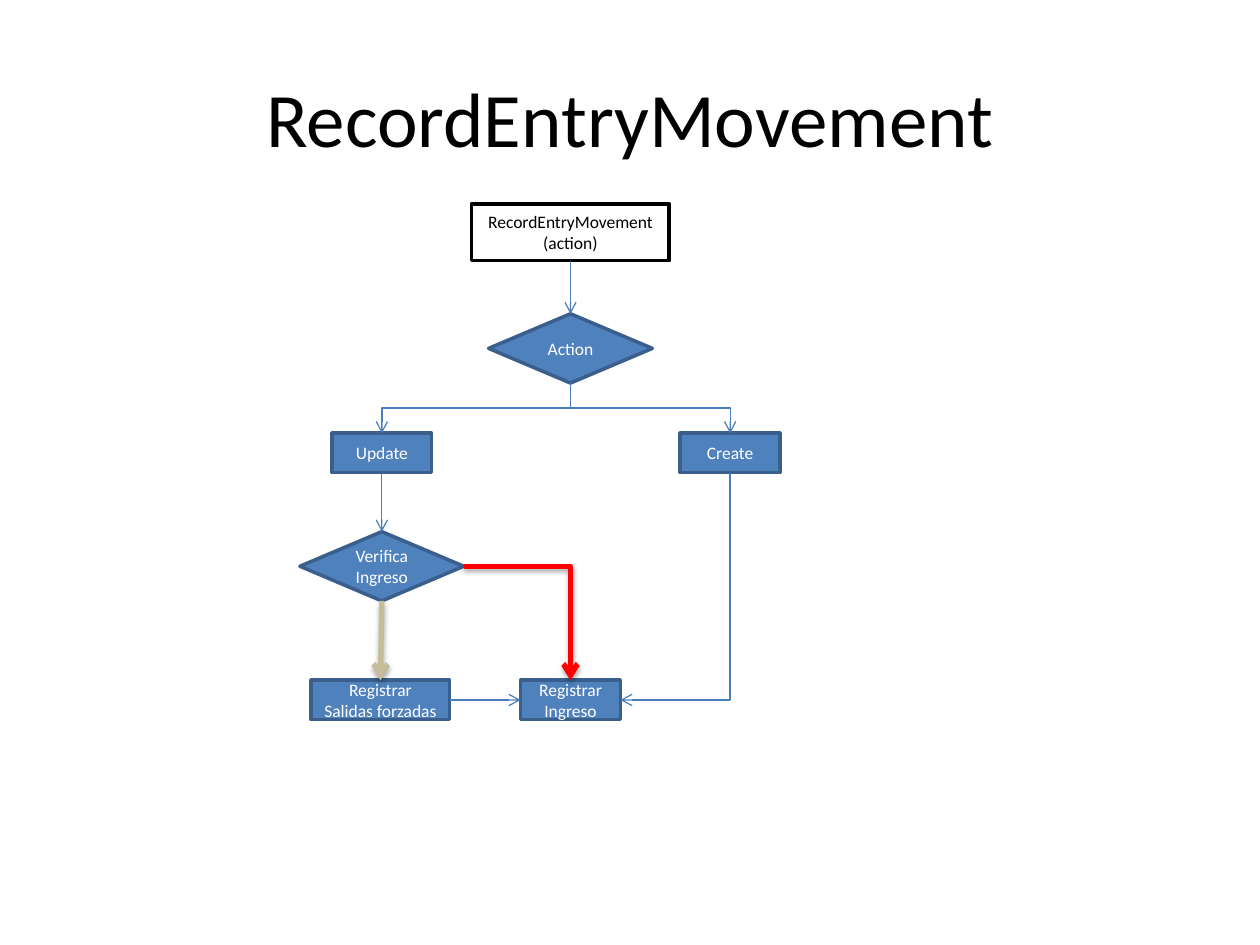
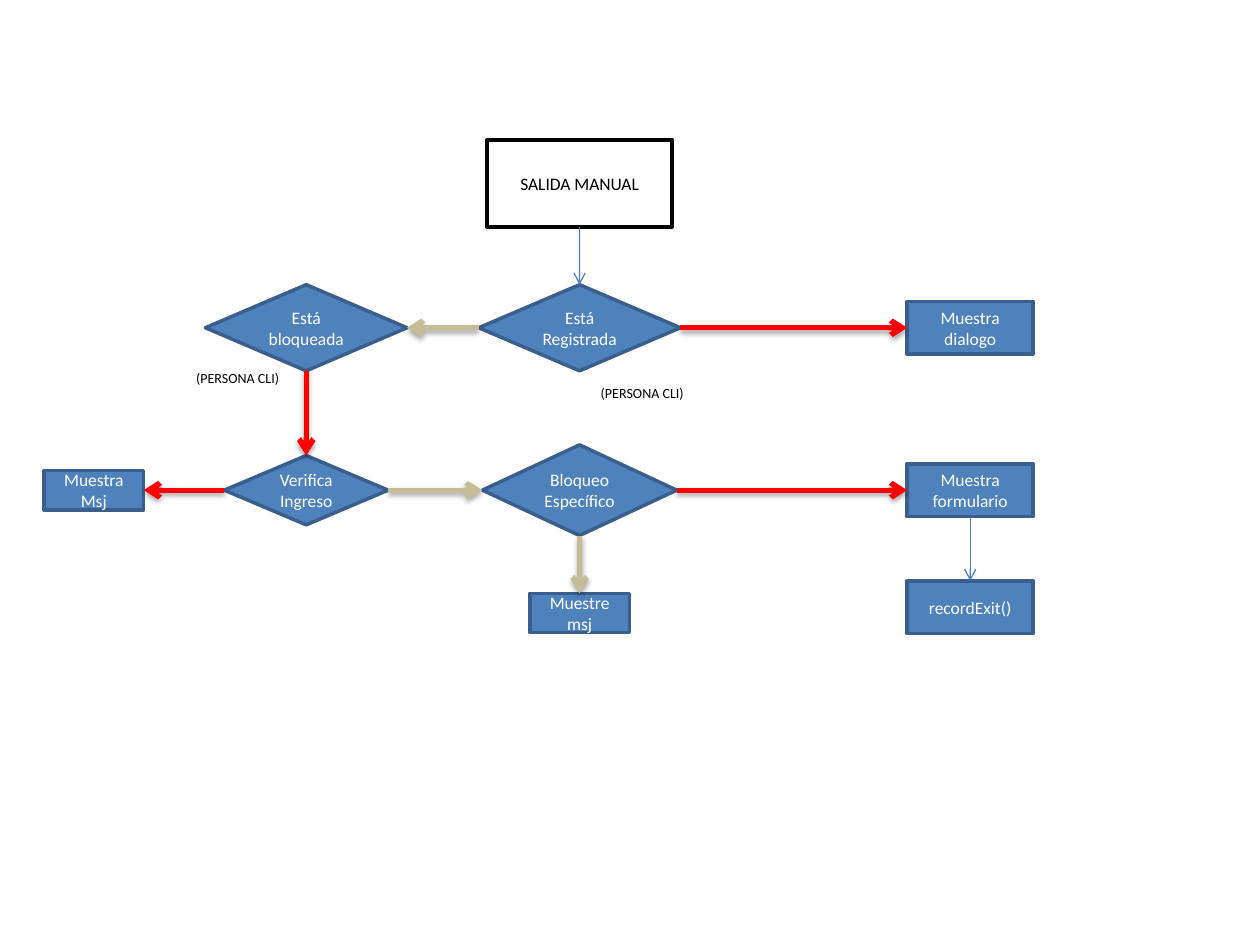
"""Build two slides of flow charts for recording entries and exits."""
from dataclasses import dataclass

from lxml.etree import SubElement as Sub
from pptx import Presentation
from pptx.dml.color import RGBColor as RGB
from pptx.enum.shapes import MSO_CONNECTOR as Con, MSO_SHAPE as Form
from pptx.enum.text import MSO_ANCHOR as Anchor, PP_ALIGN as Align
from pptx.oxml.ns import qn
from pptx.util import Pt

TOP, LEFT, BASE, RIGHT = range(4)
RECT, TEST = Form.RECTANGLE, Form.FLOWCHART_DECISION


@dataclass(frozen=True)
class Theme:
    """Hold the colours, the font and the sizes."""
    font: str = "Calibri"
    black: RGB = RGB(0, 0, 0)
    white: RGB = RGB(255, 255, 255)
    blue: RGB = RGB.from_string("4F81BD")
    edge: RGB = RGB.from_string("3A5F8C")
    flow: RGB = RGB.from_string("4B7EBC")
    red: RGB = RGB.from_string("FF0000")
    tan: RGB = RGB.from_string("C4BD97")
    head: float = 44
    body: float = 10
    note: float = 8
    rim: float = 2
    thin: float = 0.75
    thick: float = 3


T = Theme()
SMALL, MID, WIDE = (57, 22.5), (72, 30.2), (79.2, 22.5)
GEM, BIG = (93.6, 39.6), (115.2, 49.2)


def write(frame, text, size, color, align=Align.CENTER):
    """Put one run of text in a frame."""
    line = frame.paragraphs[0]
    line.alignment = align
    run = line.add_run()
    run.text = text
    run.font.name, run.font.size = T.font, Pt(size)
    run.font.color.rgb = color


def title(slide, text):
    """Add the slide title."""
    frame = slide.shapes.add_textbox(Pt(36), Pt(21.6), Pt(648), Pt(90)).text_frame
    frame.word_wrap = True
    frame.vertical_anchor = Anchor.MIDDLE
    write(frame, text, T.head, T.black)


def label(slide, text, x, y):
    """Add a small note with its left top corner at x, y."""
    frame = slide.shapes.add_textbox(Pt(x), Pt(y), Pt(62), Pt(17)).text_frame
    frame.word_wrap = False
    write(frame, text, T.note, T.black, Align.LEFT)


def node(slide, text, x, y, size, form=RECT, fill=T.blue, edge=T.edge, ink=T.white):
    """Add a step centred on x, y."""
    wide, high = size
    box = slide.shapes.add_shape(
        form, Pt(x - wide / 2), Pt(y - high / 2), Pt(wide), Pt(high))
    box.shadow.inherit = False
    box.fill.solid()
    box.fill.fore_color.rgb = fill
    box.line.color.rgb = edge
    box.line.width = Pt(T.rim)
    box.text_frame.word_wrap = True
    box.text_frame.vertical_anchor = Anchor.MIDDLE
    write(box.text_frame, text, T.body, ink)
    return box


def start(slide, text, x, y, size):
    """Add the white step that opens a flow."""
    return node(slide, text, x, y, size, RECT, T.white, T.black, T.black)


def shade(link, deep):
    """Give a link a soft shadow, or none."""
    list_ = Sub(link.element.spPr, qn("a:effectLst"))
    if deep:
        drop = Sub(list_, qn("a:outerShdw"), blurRad=str(Pt(3.1)),
                   dist=str(Pt(1.8)), dir="5400000", rotWithShape="0")
        ink = Sub(drop, qn("a:srgbClr"), val=str(T.black))
        Sub(ink, qn("a:alpha"), val="35000")


def join(slide, first, out, last, into, color=T.flow, kind=Con.STRAIGHT):
    """Add an arrow between the given sides of two steps."""
    link = slide.shapes.add_connector(kind, 0, 0, 0, 0)
    link.begin_connect(first, out)
    link.end_connect(last, into)
    deep = color != T.flow
    link.line.color.rgb = color
    link.line.width = Pt(T.thick if deep else T.thin)
    Sub(link.line._get_or_add_ln(), qn("a:tailEnd"), type="arrow")
    shade(link, deep)
    return link


def bend(slide, first, out, last, into, color=T.flow):
    """Add an elbow arrow, with one corner or two."""
    link = join(slide, first, out, last, into, color, Con.ELBOW)
    if out % 2 != into % 2:
        link.element.spPr.find(qn("a:prstGeom")).set("prst", "bentConnector2")
    if out == BASE:
        wide, high = link.width, link.height
        link.left += (wide - high) // 2
        link.top += (high - wide) // 2
        link.width, link.height = high, wide
        frame = link.element.spPr.find(qn("a:xfrm"))
        frame.flipH = not frame.flipH
        frame.rot = 270 if frame.flipH else 90


def entry(slide):
    """Draw the flow that records an entry."""
    left, mid, right = 218.2, 326, 417.2
    low = 400
    title(slide, "RecordEntryMovement")
    call = start(slide, "RecordEntryMovement (action)", mid, 132.8, (113, 32.4))
    act = node(slide, "Action", mid, 199.1, GEM, TEST)
    edit = node(slide, "Update", left, 258.8, SMALL)
    make = node(slide, "Create", right, 258.8, SMALL)
    check = node(slide, "Verifica Ingreso", left, 323.6, GEM, TEST)
    force = node(slide, "Registrar Salidas forzadas", 217.4, low, WIDE)
    log = node(slide, "Registrar Ingreso", mid, low, SMALL)
    join(slide, call, BASE, act, TOP)
    bend(slide, act, BASE, edit, TOP)
    bend(slide, act, BASE, make, TOP)
    join(slide, edit, BASE, check, TOP)
    join(slide, check, BASE, force, TOP, T.tan)
    bend(slide, make, BASE, log, RIGHT)
    bend(slide, check, RIGHT, log, TOP, T.red)
    join(slide, force, RIGHT, log, LEFT)


def leave(slide):
    """Draw the flow of a manual exit."""
    left, mid, right = 175, 331.2, 554.4
    high, low = 187.3, 280.1
    call = start(slide, "SALIDA MANUAL", mid, 104.8, (105.8, 49.7))
    known = node(slide, "Está Registrada", mid, high, BIG, TEST)
    shut = node(slide, "Está bloqueada", left, high, BIG, TEST)
    ask = node(slide, "Muestra dialogo", right, high, MID)
    warn = node(slide, "Muestra Msj", 53.6, low, SMALL)
    check = node(slide, "Verifica Ingreso", left, low, GEM, TEST)
    block = node(slide, "Bloqueo Específico", mid, low, (111, 51.8), TEST)
    form = node(slide, "Muestra formulario", right, low, MID)
    tell = node(slide, "Muestre msj", mid, 350.3, SMALL)
    done = node(slide, "recordExit()", right, 347, MID)
    for x, y in ((336.2, 216), (105, 207.4)):
        label(slide, "(PERSONA CLI)", x, y)
    join(slide, call, BASE, known, TOP)
    join(slide, known, LEFT, shut, RIGHT, T.tan)
    join(slide, known, RIGHT, ask, LEFT, T.red)
    join(slide, shut, BASE, check, TOP, T.red)
    join(slide, check, LEFT, warn, RIGHT, T.red)
    join(slide, check, RIGHT, block, LEFT, T.tan)
    join(slide, block, RIGHT, form, LEFT, T.red)
    join(slide, block, BASE, tell, TOP, T.tan)
    join(slide, form, BASE, done, TOP)


def main():
    """Build and save the deck."""
    deck = Presentation()
    deck.slide_width, deck.slide_height = Pt(720), Pt(540)
    for draw in (entry, leave):
        draw(deck.slides.add_slide(deck.slide_layouts[6]))
    deck.save("out.pptx")


if __name__ == "__main__":
    main()
